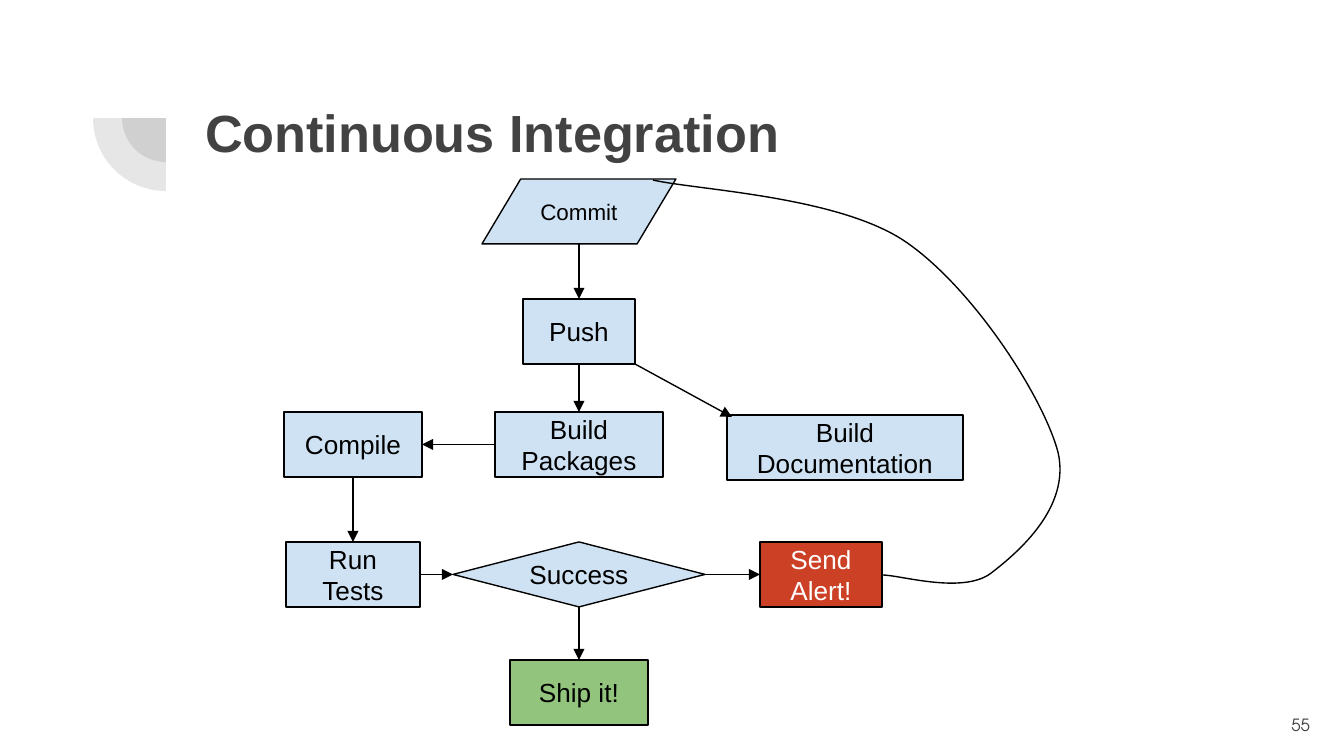
"""Build the Continuous Integration flowchart slide."""
from dataclasses import dataclass

from lxml.etree import SubElement
from pptx import Presentation
from pptx.dml.color import RGBColor
from pptx.enum.shapes import MSO_CONNECTOR, MSO_SHAPE as Preset
from pptx.enum.text import MSO_ANCHOR as Anchor, PP_ALIGN as Align
from pptx.oxml.ns import qn
from pptx.util import Pt

EMU_PER_PX = 914400 / 134.4
INSET = 13
STEP_HEIGHT = 65
ARIAL = "Arial"
ADVENTOR = "TeX Gyre Adventor"
BLACK = RGBColor(0x00, 0x00, 0x00)
WHITE = RGBColor(0xFF, 0xFF, 0xFF)
GRAY = RGBColor(0x42, 0x42, 0x42)
BLUE = RGBColor(0xCF, 0xE2, 0xF3)
RED = RGBColor(0xCC, 0x41, 0x25)
GREEN = RGBColor(0x93, 0xC4, 0x7D)
TOP, LEFT, BOTTOM, RIGHT = range(4)


@dataclass(frozen=True)
class Step:
    label: str
    center: int
    top: int
    width: int
    preset: Preset = Preset.RECTANGLE
    fill: RGBColor = BLUE
    color: RGBColor = BLACK
    size: int = 14


@dataclass(frozen=True)
class Link:
    source: str
    source_side: int
    target: str
    target_side: int


STEPS = [
    Step("Commit", 579, 179, 194, Preset.FLOWCHART_DATA, size=12),
    Step("Push", 579, 299, 112),
    Step("Build Documentation", 845, 415, 236),
    Step("Build Packages", 579, 412, 168),
    Step("Compile", 353, 412, 138),
    Step("Run Tests", 353, 542, 134),
    Step("Success", 579, 542, 252, Preset.FLOWCHART_DECISION),
    Step("Send Alert!", 821, 542, 122, fill=RED, color=WHITE),
    Step("Ship it!", 579, 660, 138, fill=GREEN),
]
LINKS = [
    Link("Push", BOTTOM, "Build Packages", TOP),
    Link("Build Packages", LEFT, "Compile", RIGHT),
    Link("Compile", BOTTOM, "Run Tests", TOP),
    Link("Run Tests", RIGHT, "Success", LEFT),
    Link("Success", RIGHT, "Send Alert!", LEFT),
    Link("Success", BOTTOM, "Ship it!", TOP),
]
RETRY_START = (882, 575)
RETRY_CURVES = [
    ((900, 575), (961, 594), (990, 574)),
    ((1019, 552), (1071, 507), (1058, 452)),
    ((1043, 396), (973, 288), (906, 242)),
    ((839, 196), (696, 190), (653, 180)),
]


def px(*lengths: int) -> list[int]:
    """Turn pixel lengths into EMU."""
    return [round(length * EMU_PER_PX) for length in lengths]


def write(shape, text: str, font: str, size: int, color: RGBColor,
          align: Align, anchor: Anchor, bold: bool = False) -> None:
    """Fill a shape with one styled paragraph."""
    frame = shape.text_frame
    frame.word_wrap = True
    frame.vertical_anchor = anchor
    (inset,) = px(INSET)
    frame.margin_left = frame.margin_right = inset
    frame.margin_top = frame.margin_bottom = inset
    paragraph = frame.paragraphs[0]
    paragraph.text = text
    paragraph.alignment = align
    paragraph.font.name = font
    paragraph.font.size = Pt(size)
    paragraph.font.bold = bold
    paragraph.font.color.rgb = color


def outline(shape) -> None:
    """Give a shape or connector the thin black line."""
    shape.line.color.rgb = BLACK
    shape.line.width = Pt(0.75)


def draw_quarter(shapes, diameter: int) -> None:
    """Draw one translucent quarter disc of the title ornament."""
    left, top = 166 - diameter // 2, 118 - diameter // 2
    quarter = shapes.add_shape(Preset.PIE, *px(left, top, diameter, diameter))
    quarter.adjustments[0] = 108
    quarter.adjustments[1] = 162
    quarter.rotation = 270
    quarter.shadow.inherit = False
    quarter.line.fill.background()
    quarter.fill.solid()
    quarter.fill.fore_color.rgb = GRAY
    tint = quarter.element.spPr.find(f"{qn('a:solidFill')}/{qn('a:srgbClr')}")
    SubElement(tint, qn("a:alpha"), val="13000")


def draw_step(shapes, step: Step):
    """Draw one flowchart step and return its shape."""
    box = px(step.center - step.width // 2, step.top, step.width, STEP_HEIGHT)
    shape = shapes.add_shape(step.preset, *box)
    shape.shadow.inherit = False
    shape.fill.solid()
    shape.fill.fore_color.rgb = step.fill
    outline(shape)
    write(shape, step.label, ARIAL, step.size, step.color, Align.CENTER, Anchor.MIDDLE)
    return shape


def draw_arrow(shapes, start: tuple[int, int] = (0, 0), end: tuple[int, int] = (0, 0)):
    """Draw a straight arrow and return its connector."""
    arrow = shapes.add_connector(MSO_CONNECTOR.STRAIGHT, *px(*start, *end))
    outline(arrow)
    SubElement(arrow.line._get_or_add_ln(), qn("a:tailEnd"), type="triangle")
    SubElement(arrow.element.spPr, qn("a:effectLst"))
    return arrow


def draw_retry(shapes) -> None:
    """Draw the curve that leads from the alert back to the commit."""
    builder = shapes.build_freeform(*px(*RETRY_START), scale=1.0)
    builder.add_line_segments([px(*curve[-1]) for curve in RETRY_CURVES], close=False)
    retry = builder.convert_to_shape()
    retry.shadow.inherit = False
    retry.fill.background()
    outline(retry)
    for segment, curve in zip(retry.element.xpath(".//a:lnTo"), RETRY_CURVES):
        segment.clear()
        segment.tag = qn("a:cubicBezTo")
        for point in curve:
            x, y = px(*point)
            SubElement(segment, qn("a:pt"), x=str(x - retry.left), y=str(y - retry.top))


def main() -> None:
    """Build and save the slide."""
    deck = Presentation()
    deck.slide_width, deck.slide_height = px(1344, 756)
    shapes = deck.slides.add_slide(deck.slide_layouts[6]).shapes

    for diameter in (88, 146):
        draw_quarter(shapes, diameter)
    title = shapes.add_textbox(*px(192, 87, 1034, 146))
    write(title, "Continuous Integration", ARIAL, 28, GRAY, Align.LEFT, Anchor.TOP, bold=True)
    page_number = shapes.add_textbox(*px(1242, 696, 81, 58))
    write(page_number, "55", ADVENTOR, 9, GRAY, Align.RIGHT, Anchor.MIDDLE)

    drawn = {step.label: draw_step(shapes, step) for step in STEPS}
    commit_arrow = draw_arrow(shapes, (579, 244), (579, 299))
    commit_arrow.end_connect(drawn["Push"], TOP)
    draw_arrow(shapes, (635, 364), (732, 417))
    for link in LINKS:
        arrow = draw_arrow(shapes)
        arrow.begin_connect(drawn[link.source], link.source_side)
        arrow.end_connect(drawn[link.target], link.target_side)
    draw_retry(shapes)

    deck.save("out.pptx")


if __name__ == "__main__":
    main()
